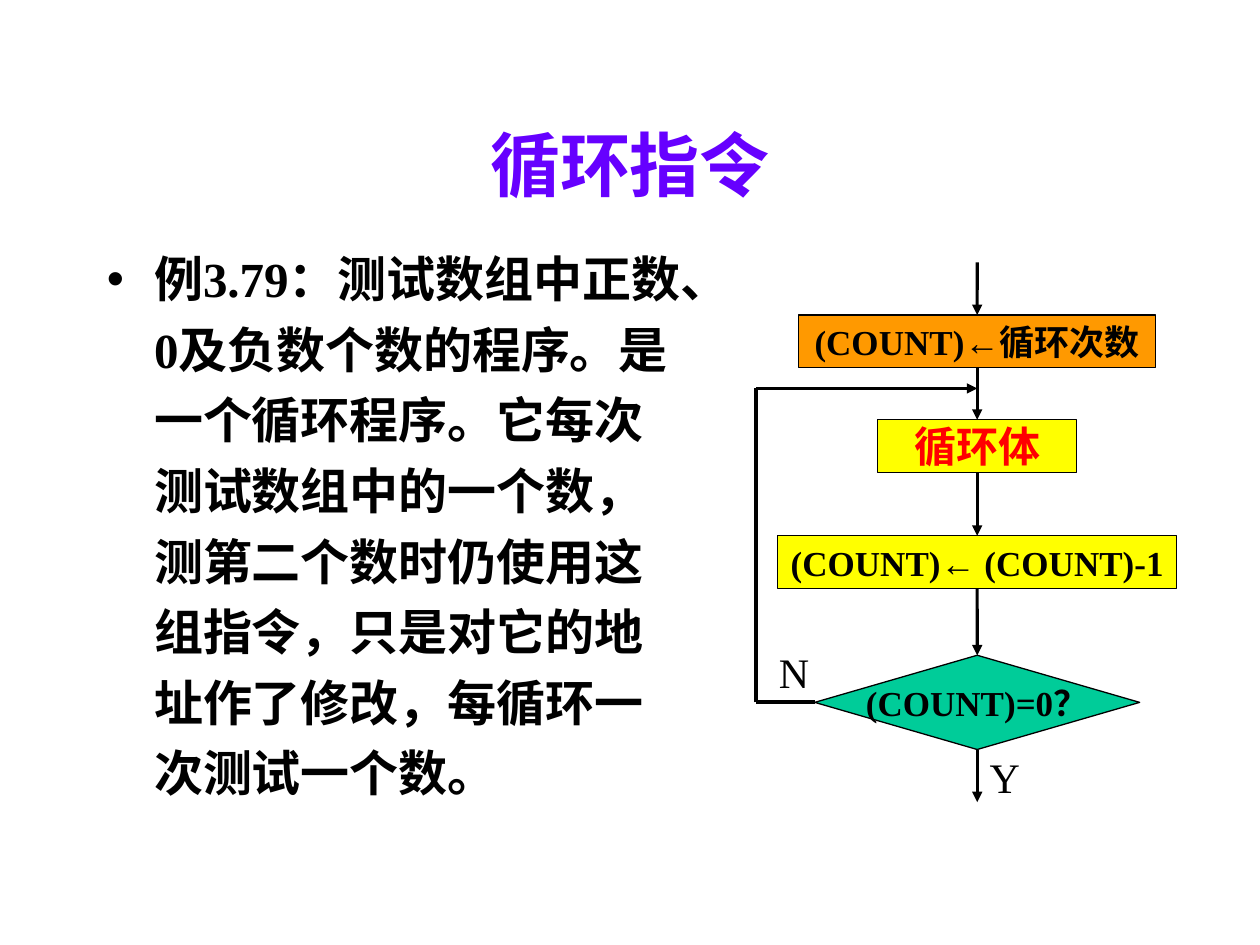
from lxml import etree
from pptx import Presentation
from pptx.dml.color import RGBColor
from pptx.enum import shapes, text
from pptx.oxml.ns import qn
from pptx.util import Cm, Pt

THEME = {
    "font": "Times New Roman", "arrow_font": "Arial",
    "title": "6600FF", "ink": "000000", "accent": "FF0000",
    "start": "FF9900", "step": "FFFF00", "test": "00CC99",
    "title_size": 40, "body_size": 28, "large": 24, "box_size": 20,
    "outline": 0.75, "arrow": 1.75, "loop": 2.25,
}

TITLE = "循环指令"
BODY = ("例3.79：测试数组中正数、0及负数个数的程序。是一个循环程序。"
        "它每次测试数组中的一个数，测第二个数时仍使用这组指令，"
        "只是对它的地址作了修改，每循环一次测试一个数。")

RECT, DIAMOND = shapes.MSO_SHAPE.RECTANGLE, shapes.MSO_SHAPE.DIAMOND
# preset, top, width, height (cm), fill, text runs, size, text colour
STEPS = [
    (RECT, 6.35, 7.2, 1.06, "start", ["(COUNT)", "←", "循环次数"], "box_size", "ink"),
    (RECT, 8.46, 4.02, 1.06, "step", ["循环体"], "large", "accent"),
    (RECT, 10.8, 8.04, 1.06, "step", ["(COUNT)", "←", " (COUNT)-1"], "box_size", "ink"),
    (DIAMOND, 13.21, 6.55, 1.9, "test", ["(COUNT)=0？"], "box_size", "ink"),
]
LABELS = [("N", 15.45, 12.9), ("Y", 19.7, 15.03)]

AXIS = 19.7      # centre line of the flow chart
LOOP_X = 15.24   # vertical part of the loop back
LOOP_Y = 7.83    # where the loop rejoins the flow
STUB = 1.06      # length of the entry and exit arrows


def rgb(name):
    return RGBColor.from_string(THEME[name])


def style_run(r, size, color, bold=True, font="font"):
    r.font.name = THEME[font]
    r.font.size = Pt(THEME[size])
    r.font.bold = bold
    r.font.color.rgb = rgb(color)


def fill_placeholder(sp, content, box, size, color):
    sp.left, sp.top, sp.width, sp.height = map(Cm, box)
    tf = sp.text_frame
    tf.text = content
    tf.auto_size = text.MSO_AUTO_SIZE.NONE
    p = tf.paragraphs[0]
    style_run(p.runs[0], size, color)
    return p


def add_step(slide, preset, top, width, height, fill, runs, size, color):
    sp = slide.shapes.add_shape(preset, Cm(AXIS - width / 2), Cm(top), Cm(width), Cm(height))
    sp.shadow.inherit = False
    sp.fill.solid()
    sp.fill.fore_color.rgb = rgb(fill)
    sp.line.color.rgb = rgb("ink")
    sp.line.width = Pt(THEME["outline"])
    tf = sp.text_frame
    tf.word_wrap = False
    tf.vertical_anchor = text.MSO_ANCHOR.MIDDLE
    p = tf.paragraphs[0]
    p.alignment = text.PP_ALIGN.CENTER
    for content in runs:
        r = p.add_run()
        r.text = content
        style_run(r, size, color, font="arrow_font" if content == "←" else "font")
    return sp


def add_line(slide, start, end, width="arrow", head=True, source=None, target=None):
    """Draw a line; source and target are optional (shape, site) joints."""
    c = slide.shapes.add_connector(shapes.MSO_CONNECTOR.STRAIGHT, *map(Cm, start + end))
    if source:
        c.begin_connect(*source)
    if target:
        c.end_connect(*target)
    c.line.color.rgb = rgb("ink")
    c.line.width = Pt(THEME[width])
    if head:
        etree.SubElement(c._element.spPr.find(qn("a:ln")), qn("a:tailEnd"), type="triangle")
    etree.SubElement(c._element.spPr, qn("a:effectLst"))


def add_label(slide, content, left, top):
    sp = slide.shapes.add_textbox(Cm(left), Cm(top), Cm(1.06), Cm(1.27))
    tf = sp.text_frame
    tf.word_wrap = True
    tf.text = content
    style_run(tf.paragraphs[0].runs[0], "large", "ink", bold=False)


def add_flow(slide):
    steps = [add_step(slide, *step) for step in STEPS]
    first, last = steps[0], steps[-1]
    for upper, lower in zip(steps, steps[1:]):
        add_line(slide, (AXIS, 0), (AXIS, 0), source=(upper, 2), target=(lower, 0))

    entry, leave = first.top.cm, last.top.cm + last.height.cm
    add_line(slide, (AXIS, entry - STUB), (AXIS, entry), target=(first, 0))
    add_line(slide, (AXIS, leave), (AXIS, leave + STUB), source=(last, 2))

    middle = last.top.cm + last.height.cm / 2
    add_line(slide, (last.left.cm, middle), (LOOP_X, middle), "loop", False, source=(last, 1))
    add_line(slide, (LOOP_X, middle), (LOOP_X, LOOP_Y), "loop", False)
    add_line(slide, (LOOP_X, LOOP_Y), (AXIS, LOOP_Y))

    for label in LABELS:
        add_label(slide, *label)


def main():
    prs = Presentation()
    prs.slide_width, prs.slide_height = Cm(25.4), Cm(19.05)
    slide = prs.slides.add_slide(prs.slide_layouts[1])
    fill_placeholder(slide.shapes.title, TITLE, (1.9, 1.7, 21.6, 3.18), "title_size", "title")
    p = fill_placeholder(slide.placeholders[1], BODY, (1.9, 4.65, 12.07, 12.27),
                         "body_size", "ink")
    p.line_spacing = 1.2
    p.space_before = Pt(7)
    add_flow(slide)
    prs.save("out.pptx")


if __name__ == "__main__":
    main()
